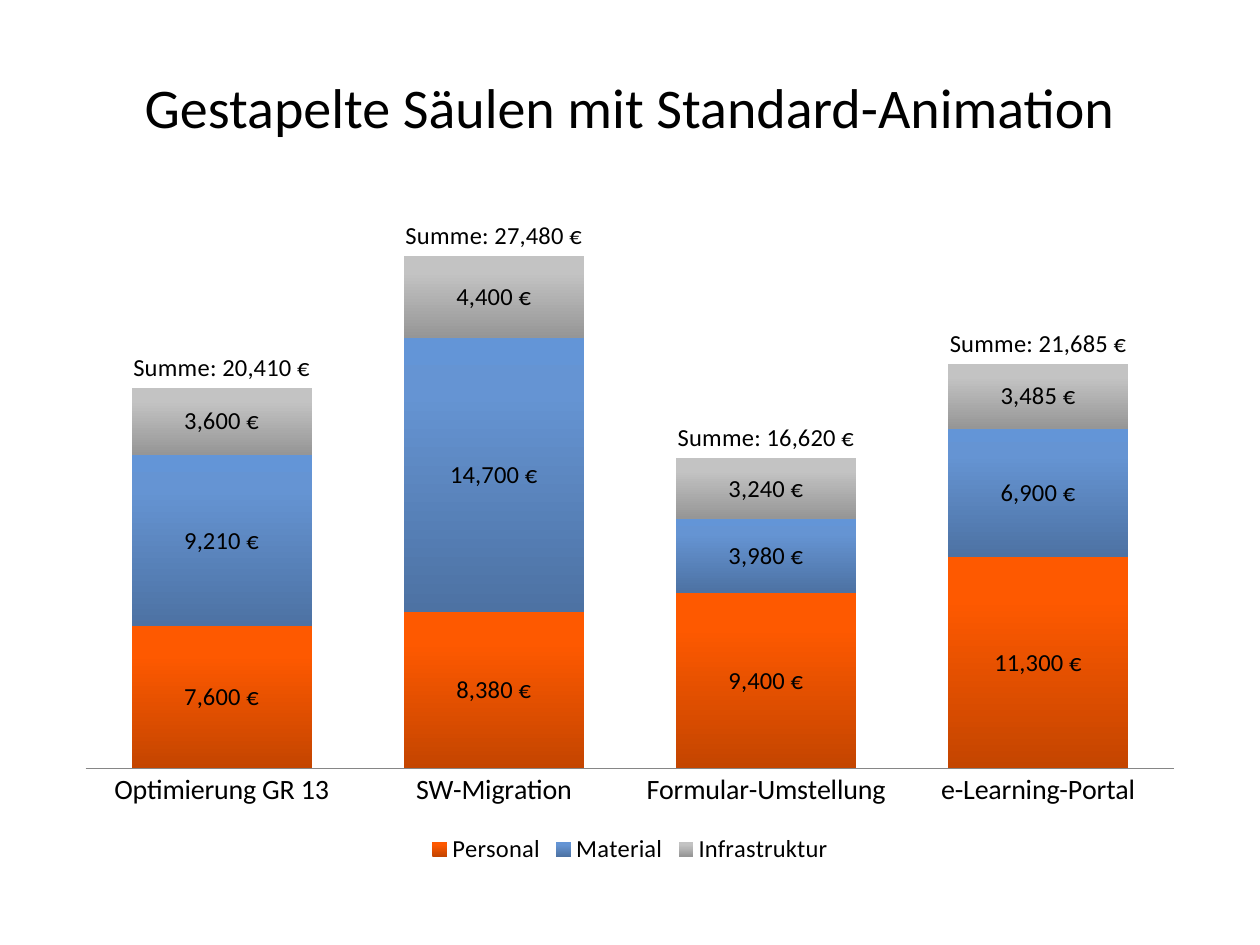
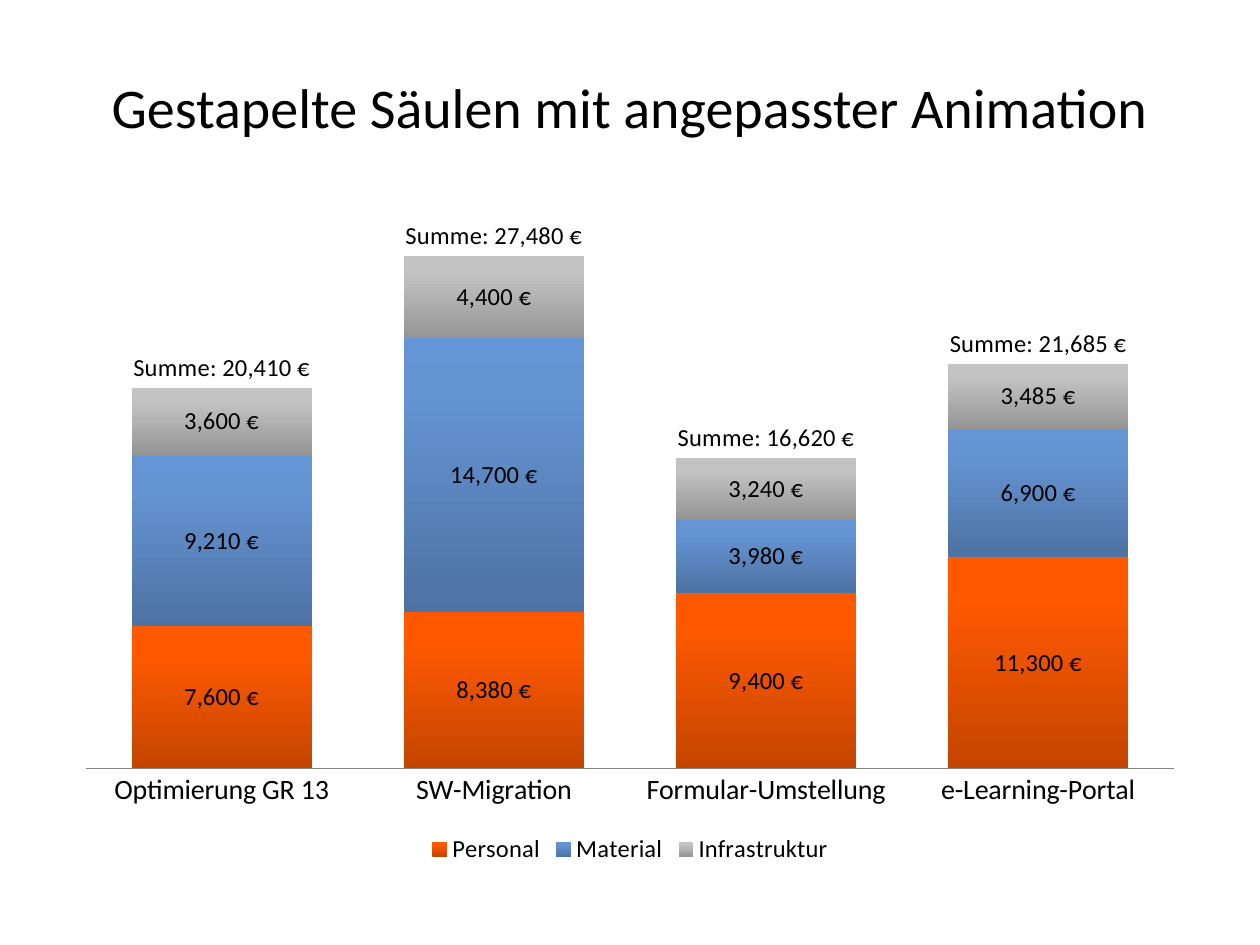
"""Build two slides that show project costs as stacked columns with totals."""
from copy import deepcopy
from dataclasses import dataclass

from pptx import Presentation
from pptx import util as u
from pptx.chart import data as cd
from pptx.dml.color import RGBColor
from pptx.enum import chart as ch, text
from pptx.oxml import parse_xml
from pptx.oxml.ns import nsdecls, qn

FONT = "Calibri"
EURO = '#,##0\\ "€"'
TOTAL = '"Summe:"\\ #,##0\\ "€"'
STOPS = (0, 0.8, 1)
COLORS = {
    "text": "000000", "axis": "868686",
    "orange0": "C44500", "orange1": "FE5900", "orange2": "FF5A00",
    "blue0": "4D72A3", "blue1": "6594D3", "blue2": "6395D7",
    "gray0": "969696", "gray1": "C3C3C3", "gray2": "C4C4C4",
}
TITLES = (
    "Gestapelte Säulen mit Standard-Animation",
    "Gestapelte Säulen mit angepasster Animation",
)
PROJECTS = ("Optimierung GR 13", "SW-Migration", "Formular-Umstellung", "e-Learning-Portal")


@dataclass(frozen=True)
class Cost:
    """One kind of cost: its name, colour family and value per project."""
    name: str
    hue: str
    vals: tuple


COSTS = (
    Cost("Personal", "orange", (7600, 8380, 9400, 11300)),
    Cost("Material", "blue", (9210, 14700, 3980, 6900)),
    Cost("Infrastruktur", "gray", (3600, 4400, 3240, 3485)),
)


def color(name: str) -> RGBColor:
    """Return the named colour."""
    return RGBColor.from_string(COLORS[name])


def style(font, size: int) -> None:
    """Set the shared typeface and text colour at the given size."""
    font.name, font.size = FONT, u.Pt(size)
    font.color.rgb = color("text")


def shade(bar, hue: str) -> None:
    """Fill a column series with a gradient that rises from dark to light."""
    bar.invert_if_negative = False
    fill = bar.format.fill
    fill.gradient()
    fill.gradient_angle = 90
    stops = bar._element.find(".//" + qn("a:gsLst"))
    stops.append(deepcopy(stops[0]))
    for i, (stop, place) in enumerate(zip(fill.gradient_stops, STOPS)):
        stop.color.rgb = color(f"{hue}{i}")
        stop.position = place


def label(series, form: str) -> None:
    """Show the values of a series in the given number format."""
    labels = series.data_labels
    labels.show_value = True
    labels.number_format = form
    labels.number_format_is_linked = False


def add_totals(chart) -> None:
    """Turn the last series into an unseen line that carries the totals."""
    bars = chart._chartSpace.find(".//" + qn("c:barChart"))
    last = bars.findall(qn("c:ser"))[-1]
    for flag in last.findall(qn("c:invertIfNegative")):
        last.remove(flag)
    line = parse_xml(
        f'<c:lineChart {nsdecls("c")}><c:grouping val="standard"/>'
        '<c:varyColors val="0"/><c:marker val="1"/></c:lineChart>')
    line.insert(2, last)
    line.extend([deepcopy(axis) for axis in bars.findall(qn("c:axId"))])
    bars.addnext(line)
    total = chart.plots[1].series[0]
    total.smooth = False
    total.format.line.fill.background()
    total.marker.style = ch.XL_MARKER_STYLE.NONE
    label(total, TOTAL)
    total.data_labels.position = ch.XL_LABEL_POSITION.ABOVE


def set_axes(chart) -> None:
    """Show only the project axis and fix the hidden value scale."""
    cats, vals = chart.category_axis, chart.value_axis
    cats.major_tick_mark = ch.XL_TICK_MARK.NONE
    cats.format.line.color.rgb = color("axis")
    style(cats.tick_labels.font, 16)
    vals.visible = vals.has_major_gridlines = False
    vals.minimum_scale, vals.maximum_scale = 0, 30000
    vals.tick_labels.number_format = EURO
    vals.tick_labels.number_format_is_linked = False


def set_legend(chart) -> None:
    """Put the legend at the bottom and leave out the totals."""
    chart.has_legend = True
    legend = chart.legend
    legend.position = ch.XL_LEGEND_POSITION.BOTTOM
    legend.include_in_layout = False
    legend._element.find(qn("c:legendPos")).addnext(parse_xml(
        f'<c:legendEntry {nsdecls("c")}><c:idx val="{len(COSTS)}"/>'
        '<c:delete val="1"/></c:legendEntry>'))


def set_plot(chart) -> None:
    """Fix the inner plot area as shares of the chart frame."""
    area = chart._chartSpace.find(".//" + qn("c:plotArea"))
    for old in area.findall(qn("c:layout")):
        area.remove(old)
    sides = {"x": 0.02, "y": 0.02, "w": 0.96, "h": 0.83}
    modes = "".join(f'<c:{side}Mode val="edge"/>' for side in "xy")
    sizes = "".join(f'<c:{side} val="{val}"/>' for side, val in sides.items())
    area.insert(0, parse_xml(
        f'<c:layout {nsdecls("c")}><c:manualLayout><c:layoutTarget val="inner"/>'
        f'{modes}{sizes}</c:manualLayout></c:layout>'))


def add_costs(slide) -> None:
    """Add the chart of stacked costs."""
    data = cd.CategoryChartData(number_format=EURO)
    data.categories = PROJECTS
    for cost in COSTS:
        data.add_series(cost.name, cost.vals)
    data.add_series("Series 4", [sum(vals) for vals in zip(*(c.vals for c in COSTS))])
    chart = slide.shapes.add_chart(
        ch.XL_CHART_TYPE.COLUMN_STACKED, u.Inches(0.5), u.Inches(1.55),
        u.Inches(9), u.Inches(5.35), data).chart
    chart.has_title = False
    style(chart.font, 14)
    plot = chart.plots[0]
    plot.gap_width, plot.overlap, plot.vary_by_categories = 51, 100, False
    for bar, cost in zip(plot.series, COSTS):
        shade(bar, cost.hue)
        label(bar, EURO)
    add_totals(chart)
    set_axes(chart)
    set_legend(chart)
    set_plot(chart)


def add_title(slide, words: str) -> None:
    """Place and format the slide title."""
    title = slide.shapes.title
    title.left, title.top = u.Inches(0.5), u.Inches(0.3)
    title.width, title.height = u.Inches(9), u.Inches(1.09)
    frame = title.text_frame
    frame.text = words
    frame.vertical_anchor = text.MSO_ANCHOR.MIDDLE
    para = frame.paragraphs[0]
    para.alignment = text.PP_ALIGN.CENTER
    style(para.font, 32)


def main() -> None:
    """Build and save the deck."""
    deck = Presentation()
    deck.slide_width, deck.slide_height = u.Inches(10), u.Inches(7.5)
    for words in TITLES:
        slide = deck.slides.add_slide(deck.slide_layouts[5])
        add_title(slide, words)
        add_costs(slide)
    deck.save("out.pptx")


if __name__ == "__main__":
    main()
